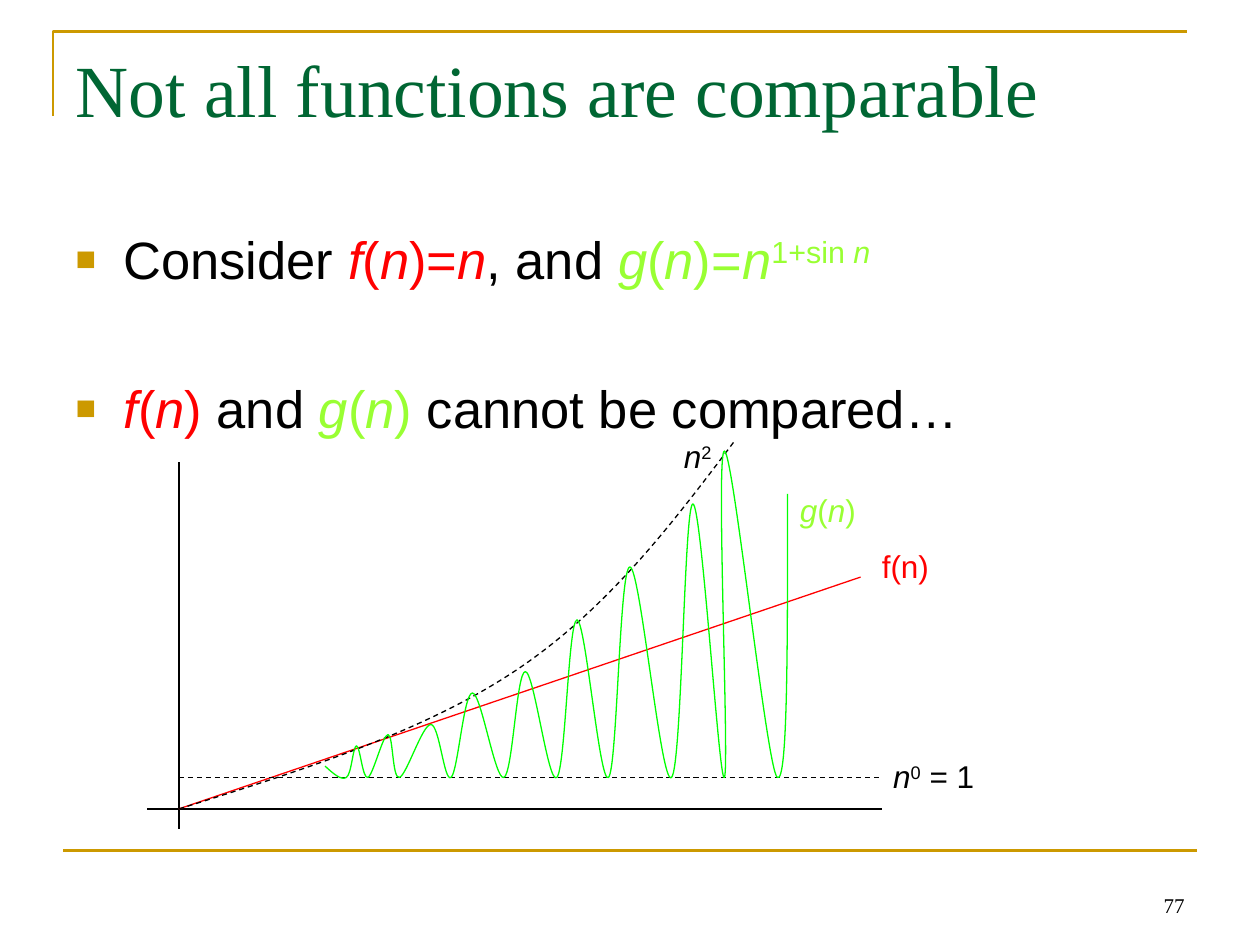
from lxml import etree
from pptx import Presentation
from pptx.dml.color import RGBColor
from pptx.enum.dml import MSO_LINE
from pptx.enum.shapes import MSO_CONNECTOR
from pptx.enum.text import MSO_ANCHOR, PP_ALIGN
from pptx.oxml.ns import qn
from pptx.util import Inches, Pt

STRAIGHT = MSO_CONNECTOR.STRAIGHT
DASH = MSO_LINE.DASH
TOP, BOTTOM = MSO_ANCHOR.TOP, MSO_ANCHOR.BOTTOM
LEFT, RIGHT = PP_ALIGN.LEFT, PP_ALIGN.RIGHT

COLORS = {
    "gold": "CC9900",
    "title": "006633",
    "text": "000000",
    "f": "FF0000",
    "g": "99FF33",
    "wave": "00FF00",
}
VARIABLES = {"f", "g", "n"}


def rgb(name):
    return RGBColor.from_string(COLORS[name])


def style_line(line, color, width, dash=None):
    line.color.rgb = rgb(color)
    line.width = Pt(width)
    if dash:
        line.dash_style = dash


def add_line(slide, start, end, color, width=0.75, dash=None):
    connector = slide.shapes.add_connector(
        STRAIGHT, *(Inches(value) for value in (*start, *end)))
    style_line(connector.line, color, width, dash)
    etree.SubElement(connector._element.spPr, qn("a:effectLst"))


def add_outline(slide, points, color, width=0.75, dash=None):
    corners = [(Inches(x), Inches(y)) for x, y in points]
    builder = slide.shapes.build_freeform(*corners[0])
    builder.add_line_segments(corners[1:], close=False)
    shape = builder.convert_to_shape()
    shape.fill.background()
    shape.shadow.inherit = False
    style_line(shape.line, color, width, dash)
    return shape


def toward(point, before, after):
    return tuple(p + (b - a) / 6 for p, a, b in zip(point, before, after))


def middle(first, second):
    return tuple((a + b) / 2 for a, b in zip(first, second))


def smooth(shape):
    """Turn an outline into Bézier curves whose tangents follow the neighbours."""
    nodes = list(shape._element.iter(qn("a:pt")))
    points = [(int(node.get("x")), int(node.get("y"))) for node in nodes]
    last = len(points) - 2
    for i, (start, end) in enumerate(zip(points, points[1:])):
        leave = toward(start, points[i - 1], end) if i > 0 else None
        arrive = toward(end, points[i + 2], start) if i < last else None
        leave = leave or middle(start, arrive)
        arrive = arrive or middle(leave, end)
        segment = nodes[i + 1].getparent()
        curve = etree.Element(qn("a:cubicBezTo"))
        for x, y in (leave, arrive, end):
            etree.SubElement(curve, qn("a:pt"), x=str(round(x)), y=str(round(y)))
        segment.getparent().replace(segment, curve)


def add_math(paragraph, size, parts):
    """Write (color, text) parts; "|" separates runs and "^" raises one."""
    paragraph.font.size = Pt(size)
    paragraph.font.name = "Arial"
    for color, text in parts:
        for piece in text.split("|"):
            run = paragraph.add_run()
            run.text = piece.lstrip("^")
            run.font.color.rgb = rgb(color)
            run.font.italic = run.text in VARIABLES
            if piece.startswith("^"):
                run.font._element.set("baseline", "30000")


def add_bullet(paragraph):
    properties = paragraph._p.get_or_add_pPr()
    properties.set("marL", str(Inches(0.38)))
    properties.set("indent", str(-Inches(0.38)))
    color = etree.SubElement(properties, qn("a:buClr"))
    etree.SubElement(color, qn("a:srgbClr"), val=COLORS["gold"])
    etree.SubElement(properties, qn("a:buSzPct"), val="65000")
    etree.SubElement(properties, qn("a:buFont"), typeface="Arial")
    etree.SubElement(properties, qn("a:buChar"), char="■")


def place(shape, left, top, width, height):
    shape.left, shape.top = Inches(left), Inches(top)
    shape.width, shape.height = Inches(width), Inches(height)


def add_frame(slide, left, top, width, height):
    """Draw the corner rule above the title and the rule under the content."""
    add_outline(slide, [(left, top + 0.67), (left, top), (left + width, top)],
                "gold", 1.5)
    bottom = top + height
    add_line(slide, (left + 0.08, bottom), (left + 0.08 + width, bottom), "gold", 1.5)


def fill_title(title, *box):
    place(title, *box)
    frame = title.text_frame
    frame.vertical_anchor = TOP
    frame.text = "Not all functions are comparable"
    paragraph = frame.paragraphs[0]
    paragraph.alignment = LEFT
    paragraph.font.size = Pt(42)
    paragraph.font.name = "Times New Roman"
    paragraph.font.color.rgb = rgb("title")


def fill_body(body, *box):
    place(body, *box)
    frame = body.text_frame
    frame.vertical_anchor = TOP
    bullets = [
        (0, [("text", "Consider "), ("f", "f|(|n|)=|n"), ("text", ", and "),
             ("g", "g|(|n|)=|n|^1+sin |^n")]),
        (49, [("f", "f|(|n|) "), ("text", "and "), ("g", "g|(|n|)"),
              ("text", " cannot be compared…")]),
    ]
    for index, (gap, parts) in enumerate(bullets):
        paragraph = frame.add_paragraph() if index else frame.paragraphs[0]
        paragraph.space_before = Pt(gap)
        add_bullet(paragraph)
        add_math(paragraph, 30, parts)


def add_graph(slide, origin_x, origin_y):
    """Plot f, g and the bounds of g; distances run right and up from the origin."""
    def at(x, y):
        return origin_x + x, origin_y - y

    floor = 0.25
    troughs = [1.33, 1.5, 1.75, 2.16, 2.58, 3, 3.41, 3.91, 4.33, 4.75]
    peaks = [(1.41, 0.5), (1.66, 0.59), (2, 0.67), (2.33, 0.92), (2.75, 1.09),
             (3.16, 1.5), (3.58, 1.92), (4.08, 2.42), (4.33, 2.84)]
    wave = [(1.16, 0.34)]
    for trough, peak in zip(troughs, peaks):
        wave += [(trough, floor), peak]
    wave += [(troughs[-1], floor), (4.83, 2.5)]
    square = [(0, 0), (2.66, 1.09), (4.41, 2.92)]

    add_line(slide, at(0, 2.75), at(0, -0.16), "text")
    add_line(slide, at(-0.25, 0), at(5.58, 0), "text")
    add_line(slide, at(0, 0), at(5.41, 1.84), "f")
    add_line(slide, at(0, floor), at(5.58, floor), "text", dash=DASH)
    smooth(add_outline(slide, [at(*point) for point in square], "text", dash=DASH))
    smooth(add_outline(slide, [at(*point) for point in wave], "wave"))

    labels = [
        (5.48, 2.13, 0.58, "f", "f(n)"),
        (4.83, 2.57, 0.65, "g", "g|(|n|)"),
        (5.57, 0.46, 0.86, "text", "n|^0| = 1"),
        (3.91, 3, 0.43, "text", "n|^2"),
    ]
    for x, y, width, color, text in labels:
        box = slide.shapes.add_textbox(0, 0, 0, 0)
        place(box, *at(x, y), width, 0.4)
        box.text_frame.word_wrap = False
        add_math(box.text_frame.paragraphs[0], 18, [(color, text)])


def add_page_number(slide, *box):
    shape = slide.shapes.add_textbox(0, 0, 0, 0)
    place(shape, *box)
    frame = shape.text_frame
    frame.word_wrap = True
    frame.vertical_anchor = BOTTOM
    frame.text = "77"
    paragraph = frame.paragraphs[0]
    paragraph.alignment = RIGHT
    paragraph.font.size = Pt(12)
    paragraph.font.name = "Times New Roman"
    paragraph.font.color.rgb = rgb("text")


def main():
    presentation = Presentation()
    presentation.slide_width, presentation.slide_height = Inches(10), Inches(7.5)
    slide = presentation.slides.add_slide(presentation.slide_layouts[1])
    add_frame(slide, 0.42, 0.25, 9, 6.5)
    fill_title(slide.shapes.title, 0.5, 0.3, 9, 1.25)
    fill_body(slide.placeholders[1], 0.5, 1.75, 9, 4.95)
    add_graph(slide, 1.42, 6.42)
    add_page_number(slide, 7.17, 6.83, 2.33, 0.5)
    presentation.save("out.pptx")


if __name__ == "__main__":
    main()
